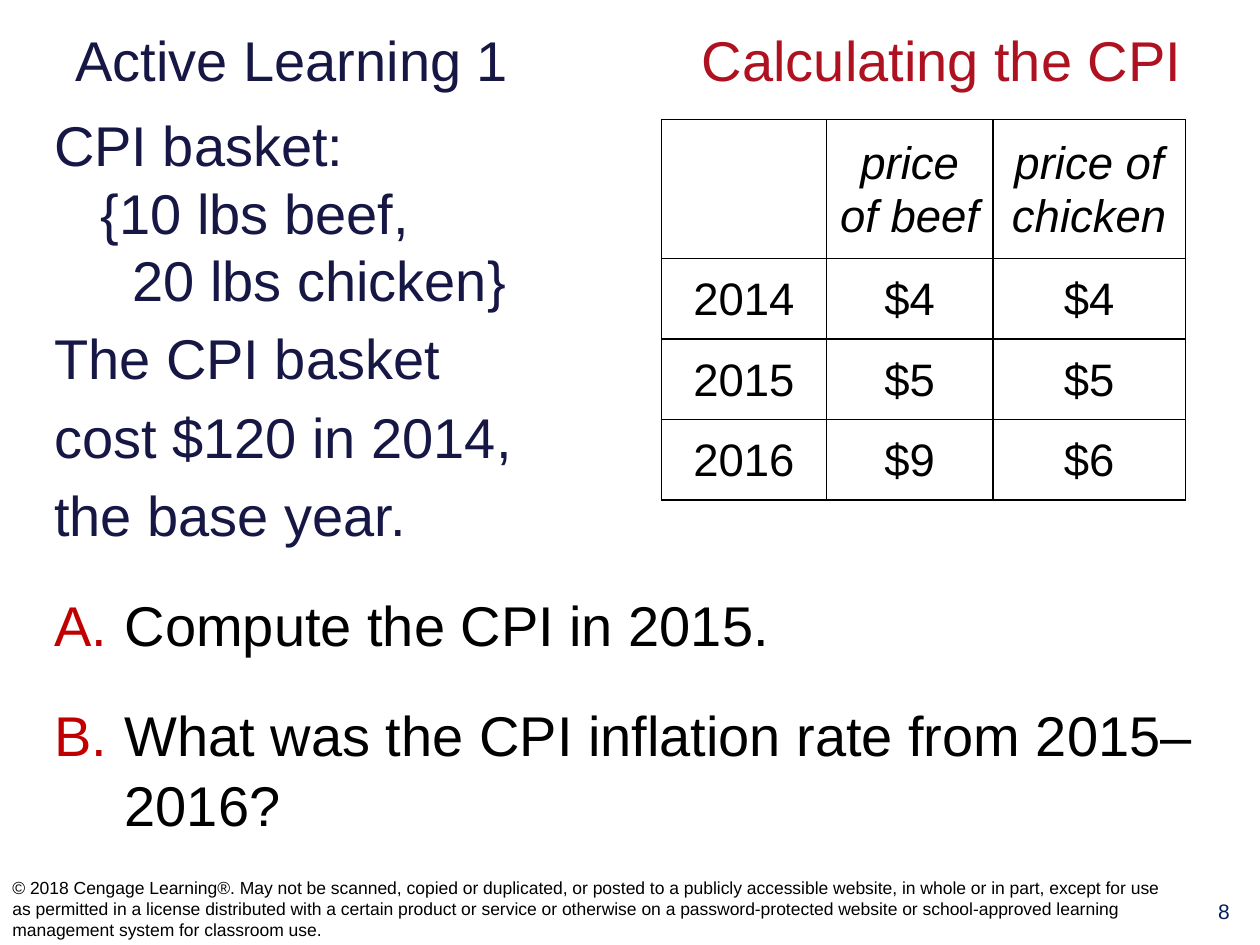
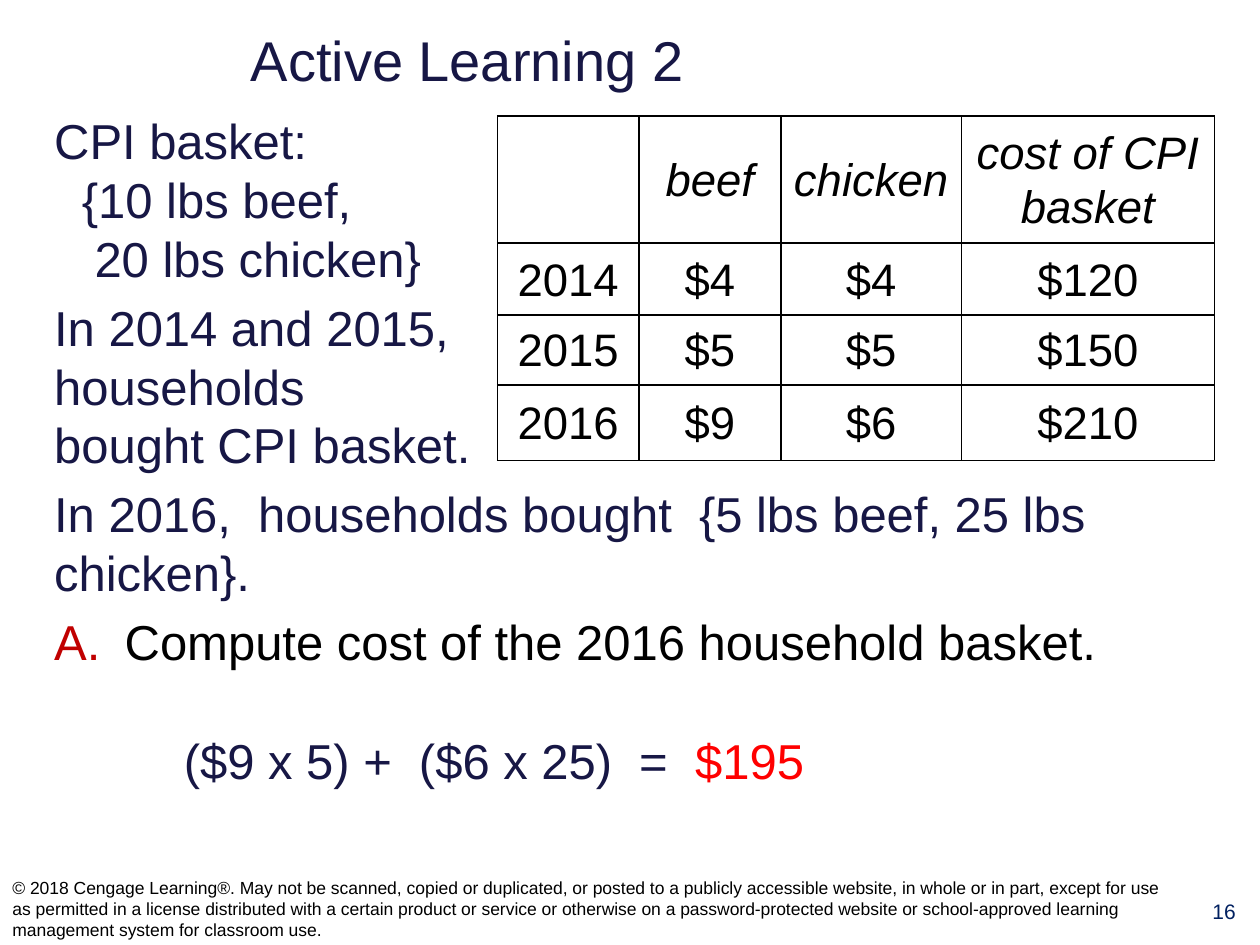
from lxml.etree import SubElement
from pptx import Presentation
from pptx.dml.color import RGBColor
from pptx.enum.text import MSO_ANCHOR, MSO_AUTO_SIZE, PP_ALIGN
from pptx.oxml.ns import qn
from pptx.util import Inches, Pt

NAVY = RGBColor(0x17, 0x17, 0x45)
CRIMSON = RGBColor(0xAE, 0x12, 0x21)
MAROON = RGBColor(0xC0, 0x00, 0x00)
RED = RGBColor(0xFF, 0x00, 0x00)
BLUE = RGBColor(0x00, 0x20, 0x60)
BLACK = RGBColor(0x00, 0x00, 0x00)
WHITE = RGBColor(0xFF, 0xFF, 0xFF)

RIGHTS = (
    "© 2018 Cengage Learning®. May not be scanned, copied or duplicated, or posted to a "
    "publicly accessible website, in whole or in part, except for use as permitted in a "
    "license distributed with a certain product or service or otherwise on a "
    "password-protected website or school-approved learning management system for "
    "classroom use."
)


def assign(target, values):
    for name, value in values.items():
        setattr(target, name, value)


class Deck:
    face = "Arial"
    edges = ("a:lnL", "a:lnR", "a:lnT", "a:lnB")

    def __init__(self):
        self.show = Presentation()
        assign(self.show, {"slide_width": Inches(10), "slide_height": Inches(7.5)})
        self.slide = None

    def place(self, shape, left, top, width, height):
        box = {"left": left, "top": top, "width": width, "height": height}
        assign(shape, {name: Inches(value) for name, value in box.items()})

    def style(self, font, size, color, italic=False):
        assign(font, {"name": self.face, "size": Pt(size), "italic": italic})
        font.color.rgb = color

    def fill_in(self, para, runs, size, italic=False):
        for text, color in runs:
            run = para.add_run()
            run.text = text
            self.style(run.font, size, color, italic)

    def start(self, number):
        self.slide = self.show.slides.add_slide(self.show.slide_layouts[1])
        self.label((9.43, 7.08, 0.57, 0.41), [(str(number), BLUE)], 12, PP_ALIGN.CENTER)
        self.label((0, 6.92, 9.41, 0.58), [(RIGHTS, BLACK)], 10,
                   anchor=MSO_ANCHOR.MIDDLE)

    def label(self, box, runs, size, align=PP_ALIGN.LEFT, anchor=MSO_ANCHOR.TOP, wrap=True):
        shape = self.slide.shapes.add_textbox(*map(Inches, box))
        frame = shape.text_frame
        assign(frame, {"word_wrap": wrap, "vertical_anchor": anchor})
        para = frame.paragraphs[0]
        para.alignment = align
        self.fill_in(para, runs, size)

    def title(self, runs, inset, stop=None):
        shape = self.slide.shapes.title
        self.place(shape, 0.17, 0.11, 9.67, 0.72)
        frame = shape.text_frame
        assign(frame, {"margin_left": Inches(inset), "word_wrap": True,
                       "auto_size": MSO_AUTO_SIZE.NONE,
                       "vertical_anchor": MSO_ANCHOR.MIDDLE})
        para = frame.paragraphs[0]
        para.alignment = PP_ALIGN.LEFT
        if stop:
            tabs = SubElement(para._p.get_or_add_pPr(), qn("a:tabLst"))
            SubElement(tabs, qn("a:tab"), pos=str(Inches(stop)), algn="r")
        self.fill_in(para, runs, 32)

    def body(self, size, basket, facts, tasks, gap, pitch=None):
        shape = self.slide.placeholders[1]
        self.place(shape, 0.33, 0.83, 9.5, 6.22)
        self.frame = shape.text_frame
        assign(self.frame, {"auto_size": MSO_AUTO_SIZE.NONE, "word_wrap": True})
        self.fresh = True
        for text, indent in basket:
            self.line(text, size, indent)
        for text in facts:
            self.line(text, size, space=0.2)
        for text in tasks:
            self.line(text, size, 0.56, gap, pitch, True)

    def line(self, text, size, indent=0, space=0, pitch=None, task=False):
        para = self.frame.paragraphs[0] if self.fresh else self.frame.add_paragraph()
        self.fresh = False
        props = para._p.get_or_add_pPr()
        props.set("marL", str(Inches(indent)))
        props.set("indent", str(Inches(-indent if task else 0)))
        if task:
            tint = SubElement(props, qn("a:buClr"))
            SubElement(tint, qn("a:srgbClr"), val=str(MAROON))
            SubElement(props, qn("a:buFont"), typeface=self.face)
            SubElement(props, qn("a:buAutoNum"), type="alphaUcPeriod")
        else:
            SubElement(props, qn("a:buNone"))
        assign(para, {"space_before": Pt(size * space), "line_spacing": pitch})
        para.text = text
        for run in para.runs:
            self.style(run.font, size, BLACK if task else NAVY)

    def table(self, left, top, widths, heights, rows):
        box = map(Inches, (left, top, sum(widths), sum(heights)))
        grid = self.slide.shapes.add_table(len(rows), len(widths), *box).table
        for column, width in zip(grid.columns, widths):
            column.width = Inches(width)
        for row, height in zip(grid.rows, heights):
            row.height = Inches(height)
        for r, row in enumerate(rows):
            for c, text in enumerate(row):
                self.cell(grid.cell(r, c), text, r == 0)

    def cell(self, cell, text, head):
        props = cell._tc.get_or_add_tcPr()
        for edge in self.edges:
            rule = SubElement(props, qn(edge), w=str(Pt(1)))
            fill = SubElement(rule, qn("a:solidFill"))
            SubElement(fill, qn("a:srgbClr"), val=str(BLACK))
        cell.fill.solid()
        cell.fill.fore_color.rgb = WHITE
        cell.vertical_anchor = MSO_ANCHOR.MIDDLE
        para = cell.text_frame.paragraphs[0]
        assign(para, {"alignment": PP_ALIGN.CENTER, "line_spacing": 1.05})
        if text:
            self.fill_in(para, [(text, BLACK)], 26, head)


def main():
    deck = Deck()

    deck.start(8)
    deck.title([("Active Learning 1\t", NAVY), ("Calculating the CPI", CRIMSON)], 0.43, 8.78)
    deck.body(
        32,
        [("CPI basket:", 0), ("{10 lbs beef,", 0.37), ("20 lbs chicken}", 0.62)],
        ["The CPI basket", "cost $120 in 2014,", "the base year."],
        ["Compute the CPI in 2015.", "What was the CPI inflation rate from 2015–2016?"],
        0.7, 1.05,
    )
    deck.table(
        5.25, 0.95, (1.31, 1.32, 1.53), (1.1, 0.64, 0.64, 0.64),
        [("", "price of beef", "price of chicken"),
         ("2014", "$4", "$4"),
         ("2015", "$5", "$5"),
         ("2016", "$9", "$6")],
    )

    deck.start(16)
    deck.title([("Active Learning 2", NAVY)], 1.82)
    deck.body(
        28,
        [("CPI basket:", 0), ("{10 lbs beef,", 0.22), ("20 lbs chicken}", 0.32)],
        ["In 2014 and 2015,\vhouseholds\vbought CPI basket.",
         "In 2016,  households bought  {5 lbs beef, 25 lbs chicken}."],
        ["Compute cost of the 2016 household basket."],
        0.2,
    )
    deck.table(
        3.95, 0.92, (1.12, 1.13, 1.43, 2.01), (1.01, 0.57, 0.55, 0.6),
        [("", "beef", "chicken", "cost of CPI basket"),
         ("2014", "$4", "$4", "$120"),
         ("2015", "$5", "$5", "$150"),
         ("2016", "$9", "$6", "$210")],
    )
    deck.label((1.33, 5.75, 5.18, 0.57),
               [("($9 x 5) +  ($6 x 25)  =  ", NAVY), ("$195", RED)],
               28, PP_ALIGN.CENTER, wrap=False)

    deck.show.save("out.pptx")


if __name__ == "__main__":
    main()
